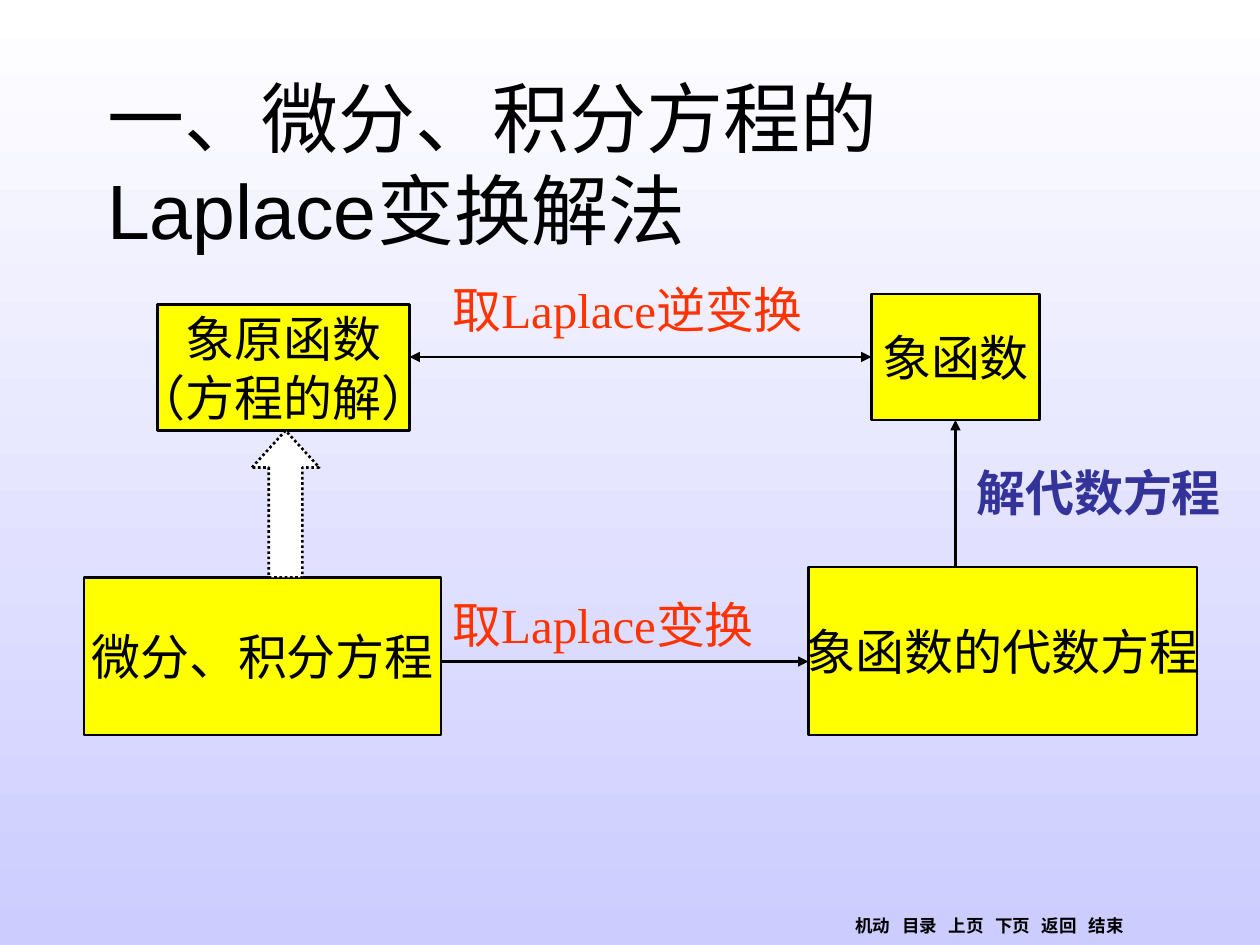
from lxml import etree
from pptx import Presentation
from pptx.dml.color import RGBColor
from pptx.enum.dml import MSO_LINE
from pptx.enum.shapes import MSO_CONNECTOR, MSO_SHAPE
from pptx.enum.text import MSO_ANCHOR, MSO_AUTO_SIZE, PP_ALIGN
from pptx.oxml.ns import qn
from pptx.util import Inches, Pt

LEFT, CENTER = PP_ALIGN.LEFT, PP_ALIGN.CENTER
TOP, MIDDLE = MSO_ANCHOR.TOP, MSO_ANCHOR.MIDDLE
RECTANGLE, UP_ARROW = MSO_SHAPE.RECTANGLE, MSO_SHAPE.UP_ARROW
DOTTED = MSO_LINE.ROUND_DOT

COLORS = {"black": "000000", "white": "FFFFFF", "lavender": "CCCCFF",
          "yellow": "FFFF00", "red": "FF3300", "blue": "333399"}
SERIF, SANS, CHINESE = "Times New Roman", "Arial", "Noto Sans CJK SC"

# Content; places are columns and rows of a grid with 12 cells to the inch
CELLS_PER_INCH = 12
TITLE = "一、微分、积分方程的\vLaplace变换解法"
TITLE_PLACE = (9, 8, 102, 15)
BOXES = [
    (["象原函数", "（方程的解）"], (15, 29, 24, 12)),
    (["象函数"], (83, 28, 16, 12)),
    (["微分、积分方程"], (8, 55, 34, 15)),
    (["象函数的代数方程"], (77, 54, 37, 16)),
]
ARROWS = [  # start, end, arrowheads
    ((39, 34), (83, 34), ("headEnd", "tailEnd")),
    ((42, 63), (77, 63), ("tailEnd",)),
    ((91, 54), (91, 40), ("tailEnd",)),
]
LABELS = [
    ("取Laplace逆变换", (41.9, 26, 38, 6.8), "red", False),
    ("取Laplace变换", (41.9, 56, 33.4, 6.8), "red", False),
    ("解代数方程", (91.8, 43.5, 25.7, 6.8), "blue", True),
]
SOLUTION_ARROW = (24, 41, 6.4, 14)
NAVIGATION = ["机动", "目录", "上页", "下页", "返回", "结束"]
NAVIGATION_PLACE = (80.3, 86.6, 35.5, 3.2)
NAVIGATION_STEP = 0.37


def grid(*cells):
    return [Inches(cell / CELLS_PER_INCH) for cell in cells]


def color(name):
    return RGBColor.from_string(COLORS[name])


def write(shape, lines, size, font=SERIF, ink="black", bold=False,
          align=LEFT, anchor=TOP, wrap=False):
    frame = shape.text_frame
    frame.text = "\n".join(lines)
    frame.word_wrap, frame.vertical_anchor = wrap, anchor
    for para in frame.paragraphs:
        para.alignment = align
        for span in para.runs:
            for key, value in {"size": Pt(size), "name": font, "bold": bold}.items():
                setattr(span.font, key, value)
            span.font.color.rgb = color(ink)
            east_asian = etree.SubElement(span.font._element, qn("a:ea"))
            east_asian.set("typeface", CHINESE)
    return frame


def outline(line):
    line.color.rgb = color("black")
    line.width = Pt(1.5)


def add_figure(page, kind, place, fill):
    shape = page.shapes.add_shape(kind, *grid(*place))
    shape.shadow.inherit = False
    shape.fill.solid()
    shape.fill.fore_color.rgb = color(fill)
    outline(shape.line)
    return shape


def add_arrow(page, start, end, heads):
    arrow = page.shapes.add_connector(MSO_CONNECTOR.STRAIGHT, *grid(*start, *end))
    outline(arrow.line)
    line = arrow.line._get_or_add_ln()
    for head in heads:
        etree.SubElement(line, qn(f"a:{head}")).set("type", "triangle")
    etree.SubElement(arrow._element.spPr, qn("a:effectLst"))


def add_navigation(page):
    box = page.shapes.add_textbox(*grid(*NAVIGATION_PLACE))
    frame = write(box, ["\t".join(NAVIGATION)], 10, CHINESE, bold=True, wrap=True)
    properties = frame.paragraphs[0]._p.get_or_add_pPr()
    tabs = etree.SubElement(properties, qn("a:tabLst"))
    for index in range(1, len(NAVIGATION)):
        tab = etree.SubElement(tabs, qn("a:tab"))
        tab.set("pos", str(Inches(NAVIGATION_STEP * index)))
        tab.set("algn", "l")


def main():
    deck = Presentation()
    deck.slide_width, deck.slide_height = Inches(10), Inches(7.5)
    page = deck.slides.add_slide(deck.slide_layouts[5])

    # Background, white at the top
    fill = page.background.fill
    fill.gradient()
    fill.gradient_angle = 270
    for stop, name, position in zip(fill.gradient_stops, ("white", "lavender"), (0, 1)):
        stop.color.rgb = color(name)
        stop.position = position

    add_navigation(page)

    # Title
    title = page.shapes.title
    title.left, title.top, title.width, title.height = grid(*TITLE_PLACE)
    frame = write(title, [TITLE], 44, SANS, anchor=MIDDLE, wrap=True)
    frame.auto_size = MSO_AUTO_SIZE.NONE

    # Diagram
    for lines, place in BOXES:
        box = add_figure(page, RECTANGLE, place, "yellow")
        write(box, lines, 28, align=CENTER, anchor=MIDDLE)
    for start, end, heads in ARROWS:
        add_arrow(page, start, end, heads)
    for text, place, ink, bold in LABELS:
        label = page.shapes.add_textbox(*grid(*place))
        frame = write(label, [text], 28, ink=ink, bold=bold)
        frame.auto_size = MSO_AUTO_SIZE.SHAPE_TO_FIT_TEXT
    arrow = add_figure(page, UP_ARROW, SOLUTION_ARROW, "white")
    arrow.line.dash_style = DOTTED
    arrow.adjustments[0], arrow.adjustments[1] = 0.5, 0.55

    deck.save("out.pptx")


if __name__ == "__main__":
    main()
